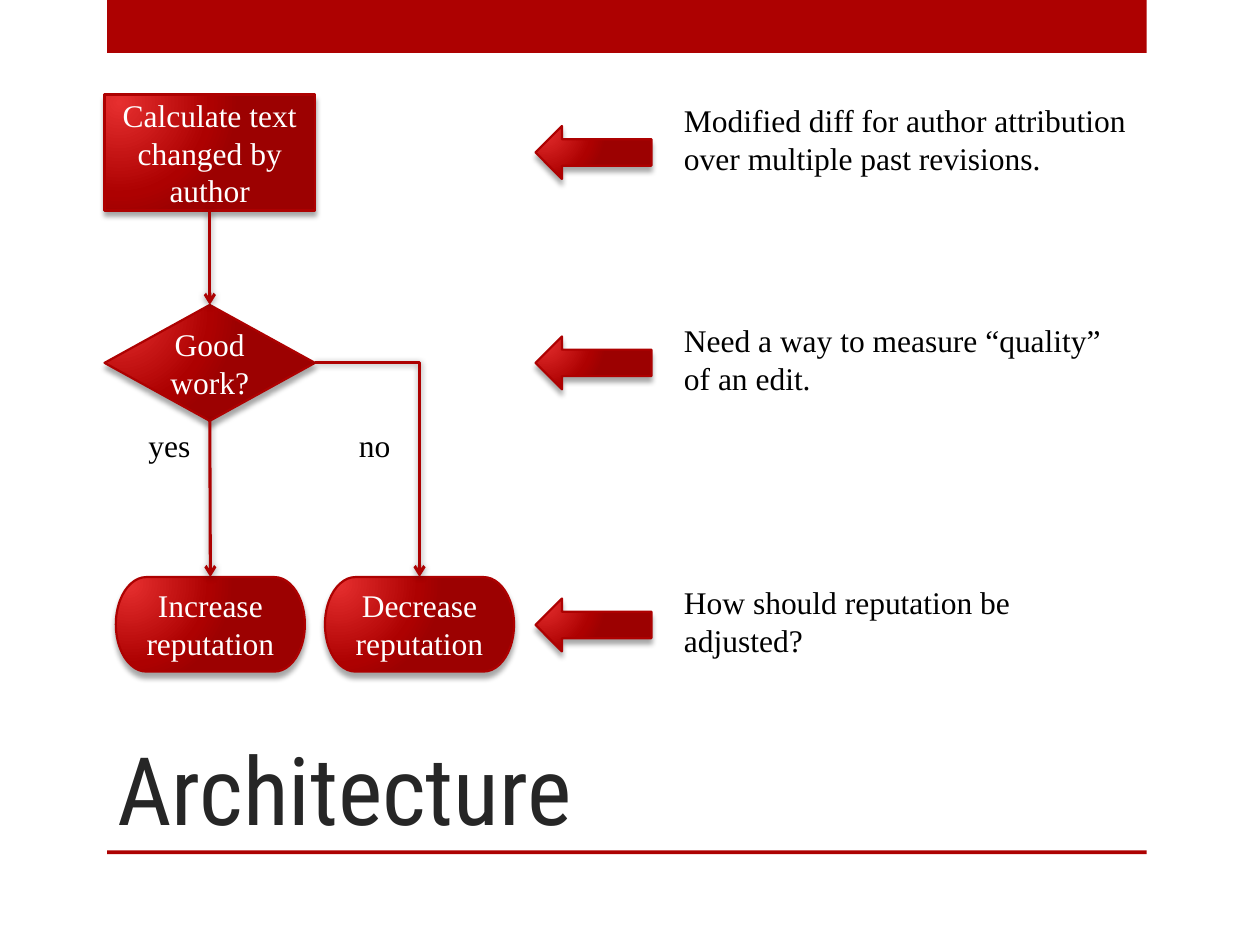
from lxml.etree import SubElement
from pptx import Presentation
from pptx.dml.color import RGBColor
from pptx.enum.shapes import MSO_CONNECTOR, MSO_SHAPE
from pptx.enum.text import MSO_ANCHOR, MSO_AUTO_SIZE, PP_ALIGN
from pptx.oxml import parse_xml
from pptx.oxml.ns import nsdecls, qn
from pptx.util import Inches, Pt

RED = RGBColor(0xAD, 0x01, 0x01)
BRIGHT_RED = RGBColor(0xE6, 0x2F, 0x2F)
DARK_RED = RGBColor(0x9C, 0x01, 0x01)
CHARCOAL = RGBColor(0x26, 0x26, 0x26)
BLACK = RGBColor(0, 0, 0)
WHITE = RGBColor(0xFF, 0xFF, 0xFF)
TITLE_FONT = "Roboto Condensed"
BODY_FONT = "Times New Roman"
TOP, BOTTOM, RIGHT = 0, 2, 3


def inches(box):
    return [Inches(length) for length in box]


def set_font(para, color, name=BODY_FONT, size=18):
    para.font.name = name
    para.font.size = Pt(size)
    para.font.color.rgb = color


def add_shadow(shape, alpha, blur, distance, angle):
    shape._element.spPr.append(parse_xml(
        f'<a:effectLst {nsdecls("a")}>'
        f'<a:outerShdw blurRad="{Pt(blur)}" dist="{Pt(distance)}" dir="{angle * 60000}" rotWithShape="0">'
        f'<a:srgbClr val="000000"><a:alpha val="{alpha * 1000}"/></a:srgbClr>'
        '</a:outerShdw></a:effectLst>'))


def add_glossy_shape(page, kind, box, text=""):
    """Add a red shape with a radial gradient and a soft shadow."""
    shape = page.shapes.add_shape(kind, *inches(box))
    shape.line.color.rgb = RED
    shape.line.width = Pt(1.25)
    stops = "".join(
        f'<a:gs pos="{position * 1000}"><a:srgbClr val="{color}"/></a:gs>'
        for position, color in ((0, BRIGHT_RED), (76, RED), (100, DARK_RED)))
    properties = shape._element.spPr
    properties.find(qn("a:prstGeom")).addnext(parse_xml(
        f'<a:gradFill {nsdecls("a")} rotWithShape="1"><a:gsLst>{stops}</a:gsLst>'
        '<a:path path="circle"><a:fillToRect l="15000" t="15000" r="100000" b="100000"/>'
        '</a:path></a:gradFill>'))
    add_shadow(shape, 35, 3, 3, 90)
    if text:
        frame = shape.text_frame
        frame.text = text
        frame.word_wrap = True
        frame.vertical_anchor = MSO_ANCHOR.MIDDLE
        frame.paragraphs[0].alignment = PP_ALIGN.CENTER
        set_font(frame.paragraphs[0], WHITE)
    return shape


def add_text(page, box, text, wrap=True):
    frame = page.shapes.add_textbox(*inches(box)).text_frame
    frame.text = text
    frame.word_wrap = wrap
    frame.auto_size = MSO_AUTO_SIZE.SHAPE_TO_FIT_TEXT
    set_font(frame.paragraphs[0], BLACK)


def connect(page, source, side, target, kind=MSO_CONNECTOR.STRAIGHT):
    """Draw an arrow from one side of the source to the top of the target."""
    arrow = page.shapes.add_connector(kind, 0, 0, 0, 0)
    arrow.begin_connect(source, side)
    arrow.end_connect(target, TOP)
    if kind == MSO_CONNECTOR.ELBOW:
        arrow._element.spPr.find(qn("a:prstGeom")).set("prst", "bentConnector2")
    arrow.line.color.rgb = RED
    arrow.line.width = Pt(1.75)
    line = arrow._element.spPr.find(qn("a:ln"))
    SubElement(line, qn("a:tailEnd"), type="arrow")
    add_shadow(arrow, 40, 4, 1, 88)


def add_frame(page, left, width):
    for top, height in ((0, 0.42), (6.75, 0.03)):
        bar = page.shapes.add_shape(MSO_SHAPE.RECTANGLE, *inches((left, top, width, height)))
        bar.fill.solid()
        bar.fill.fore_color.rgb = RED
        bar.line.fill.background()
        bar.shadow.inherit = False


def add_title(page, box, text):
    title = page.shapes.title
    title.left, title.top, title.width, title.height = inches(box)
    frame = title.text_frame
    frame.text = text
    frame.vertical_anchor = MSO_ANCHOR.BOTTOM
    frame.paragraphs[0].alignment = PP_ALIGN.LEFT
    set_font(frame.paragraphs[0], CHARCOAL, TITLE_FONT, 54)


def add_flowchart(page, left, top):
    step_size = (1.67, 0.92)
    result_size = (1.5, 0.75)
    result_left, result_top = left + 0.09, top + 3.83
    calculate = add_glossy_shape(page, MSO_SHAPE.FLOWCHART_PROCESS, (left, top, *step_size),
                                 "Calculate text changed by author")
    decision = add_glossy_shape(page, MSO_SHAPE.FLOWCHART_DECISION,
                                (left, top + 1.67, *step_size), "Good work?")
    increase, decrease = [
        add_glossy_shape(page, MSO_SHAPE.FLOWCHART_TERMINATOR,
                         (result_left + column * 1.66, result_top, *result_size),
                         f"{change} reputation")
        for column, change in enumerate(("Increase", "Decrease"))]
    connect(page, calculate, BOTTOM, decision)
    connect(page, decision, BOTTOM, increase)
    connect(page, decision, RIGHT, decrease, MSO_CONNECTOR.ELBOW)
    add_text(page, (left + 0.25, top + 2.58, 0.55, 0.4), "yes", wrap=False)
    add_text(page, (left + 1.92, top + 2.58, 0.45, 0.4), "no", wrap=False)


def add_notes_column(page, left):
    """Add the comments on each stage, with an arrow pointing back to it."""
    notes = (
        (0.75, 1, "Modified diff for author attribution over multiple past revisions."),
        (2.5, 2.67, "Need a way to measure “quality” of an edit."),
        (4.58, 4.75, "How should reputation be adjusted?"),
    )
    for text_top, arrow_top, text in notes:
        add_text(page, (left + 1.08, text_top, 3.75, 0.71), text)
        add_glossy_shape(page, MSO_SHAPE.LEFT_ARROW, (left, arrow_top, 0.92, 0.42))


def main():
    deck = Presentation()
    deck.slide_width, deck.slide_height = Inches(10), Inches(7.5)
    page = deck.slides.add_slide(deck.slide_layouts[5])
    add_frame(page, 0.85, 8.25)
    add_title(page, (0.83, 5, 7.42, 1.75), "Architecture")
    add_flowchart(page, 0.83, 0.75)
    add_notes_column(page, 4.25)
    deck.save("out.pptx")


if __name__ == "__main__":
    main()
